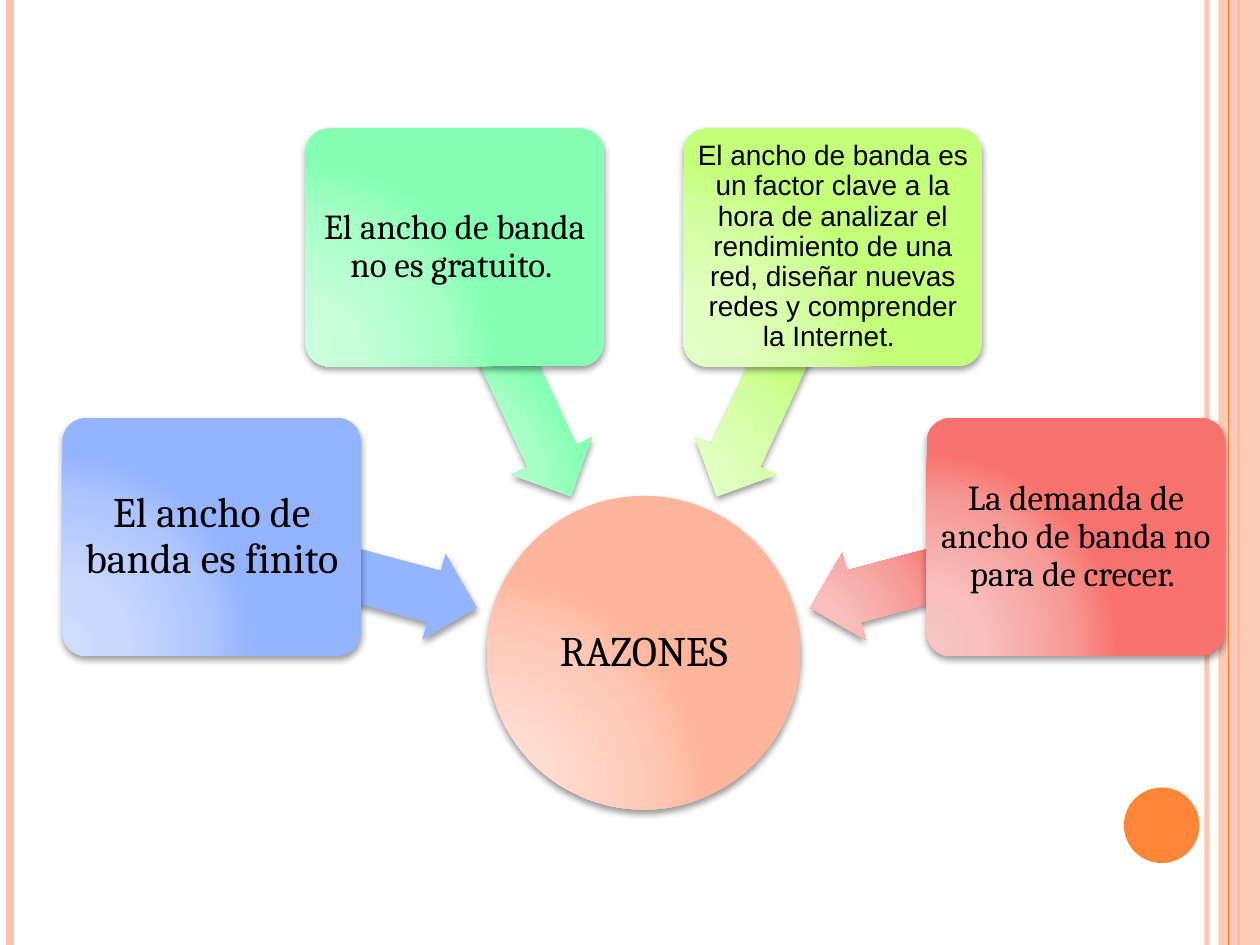
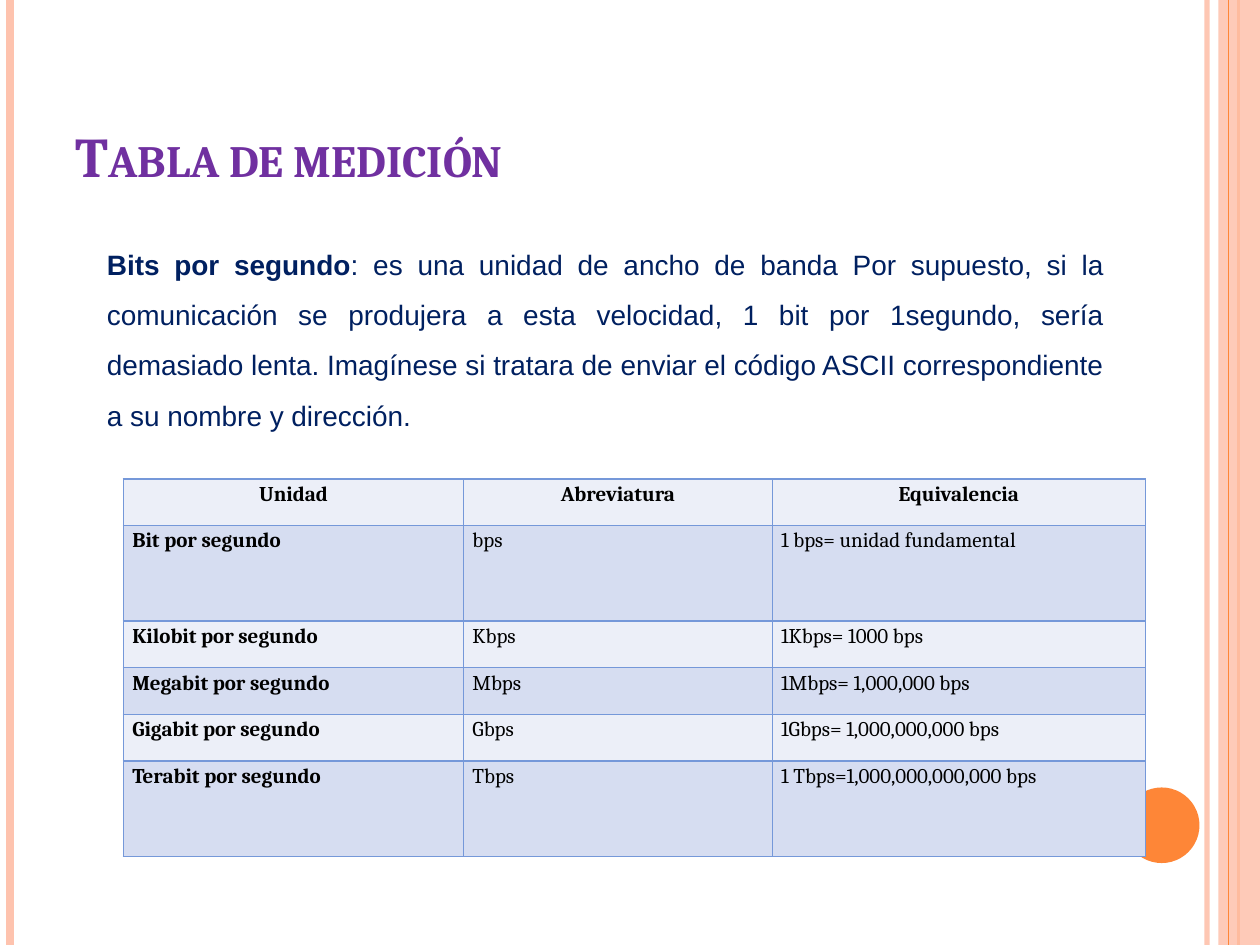
import math

import pptx
import pptx.dml.color
import pptx.enum.shapes
import pptx.enum.text
import pptx.oxml
import pptx.oxml.ns
import pptx.util

Inches = pptx.util.Inches
RGBColor = pptx.dml.color.RGBColor
Shapes = pptx.enum.shapes.MSO_SHAPE
Align = pptx.enum.text.PP_ALIGN
Anchor = pptx.enum.text.MSO_ANCHOR

BLACK = RGBColor(0x00, 0x00, 0x00)
PEACH = RGBColor(0xFE, 0xC3, 0xAE)
ORANGE = RGBColor(0xFE, 0x86, 0x37)
PURPLE = RGBColor(0x70, 0x30, 0xA0)
NAVY = RGBColor(0x00, 0x20, 0x60)
ROW_LIGHT = RGBColor(0xEC, 0xEF, 0xF8)
ROW_DARK = RGBColor(0xD6, 0xDD, 0xF1)
TABLE_BORDER = RGBColor(0x75, 0x98, 0xD9)


def gradient(*colours):
    return [RGBColor.from_string(colour) for colour in colours]


SALMON_GRADIENT = gradient("FFDED5", "FFDBD0", "FFC8B6", "FFB59B")
BLUE_GRADIENT = gradient("CFDCFF", "CBD9FF", "AFC6FF", "95B4FF")
GREEN_GRADIENT = gradient("C9FFDC", "C4FFD9", "A5FFC5", "85FFB3")
LIME_GRADIENT = gradient("E3FFC5", "E1FFC0", "D2FF9E", "C4FF7A")
RED_GRADIENT = gradient("F8C5C3", "F8BFBD", "F69B98", "F8736E")
GRADIENT_STOPS = (0, 30, 75, 100)

# Content
HUB_TEXT = "RAZONES"
REASONS = [  # text, size, font, gradient
    ("El ancho de banda es finito", 24, "Cambria", BLUE_GRADIENT),
    ("El ancho de banda no es gratuito. ", 20, "Cambria", GREEN_GRADIENT),
    ("El ancho de banda es un factor clave a la hora de analizar el rendimiento "
     "de una red, diseñar nuevas redes y comprender la Internet. ",
     16, "Arial", LIME_GRADIENT),
    ("La demanda de ancho de banda no para de crecer. ", 20, "Cambria", RED_GRADIENT),
]
TABLE_TITLE = "Tabla de medición"
DEFINITION_TERM = "Bits por segundo"
DEFINITION = (": es una unidad de ancho de banda Por supuesto, si la comunicación se "
              "produjera a esta velocidad, 1 bit por 1segundo, sería demasiado lenta. "
              "Imagínese si tratara de enviar el código ASCII correspondiente a "
              "su nombre y dirección.")
UNITS = [
    ("Unidad", "Abreviatura", "Equivalencia"),
    ("Bit por segundo", "bps", "1 bps= unidad fundamental"),
    ("Kilobit por segundo", "Kbps", "1Kbps= 1000 bps"),
    ("Megabit por segundo", "Mbps", "1Mbps= 1,000,000 bps"),
    ("Gigabit por segundo", "Gbps", "1Gbps= 1,000,000,000 bps"),
    ("Terabit por segundo", "Tbps", "1 Tbps=1,000,000,000,000 bps"),
]
COLUMN_WIDTHS = (2.7, 2.45, 2.96)
ROW_HEIGHTS = (0.37, 0.76, 0.37, 0.37, 0.37, 0.76)

# Layout of the reasons diagram, in inches and degrees
HUB_CENTRE = (5.11, 5.18)
HUB_SIZE = (2.49, 2.49)
BOX_SIZE = (2.37, 1.89)
ARROW_SIZE = (2.18, 0.71)
BOX_RADIUS, ARROW_RADIUS = 3.55, 2.46
FIRST_ANGLE, ANGLE_STEP = 195, 50

# Bands of the master: x, colour, width in points, opacity
STRIPES_BEHIND = [(9.58, PEACH, 3, 93), (0.08, PEACH, 4.5, 100), (9.83, ORANGE, 1.5, 100)]
STRIPES_FRONT = [(9.75, ORANGE, 0.75, 100)]


def drawing_xml(tag, content="", attributes=""):
    namespace = pptx.oxml.ns.nsdecls("a")
    return pptx.oxml.parse_xml(f"<a:{tag} {namespace} {attributes}>{content}</a:{tag}>")


def write_text(text_frame, text, lead="", size=12, font="Cambria", colour=BLACK,
               bold=False, align=Align.LEFT, line_spacing=None, space_after=None):
    """Write one paragraph, optionally opened by a bold lead."""
    paragraph = text_frame.paragraphs[0]
    paragraph.alignment = align
    paragraph.line_spacing = line_spacing
    paragraph.space_after = space_after
    for content, is_bold in ((lead, True), (text, bold)):
        if content:
            run = paragraph.add_run()
            run.text = content
            run.font.name = font
            run.font.size = pptx.util.Pt(size)
            run.font.color.rgb = colour
            run.font.bold = is_bold
    return paragraph


def set_opacity(shape, percent):
    for colour in shape.element.xpath(".//a:srgbClr"):
        colour.append(drawing_xml("alpha", attributes=f'val="{percent * 1000}"'))


def add_stripe(slide, x, colour, width, opacity):
    stripe = slide.shapes.add_connector(
        pptx.enum.shapes.MSO_CONNECTOR.STRAIGHT, Inches(x), 0, Inches(x), Inches(7.5))
    stripe.line.color.rgb = colour
    stripe.line.width = pptx.util.Pt(width)
    stripe.element.spPr.append(drawing_xml("effectLst"))
    if opacity < 100:
        set_opacity(stripe, opacity)
    return stripe


def add_plain_shape(slide, kind, left, top, width, height):
    shape = slide.shapes.add_shape(
        kind, Inches(left), Inches(top), Inches(width), Inches(height))
    shape.shadow.inherit = False
    shape.line.fill.background()
    return shape


def decorate_master(presentation, slide):
    """Draw the shared bands, then move them to the slide master."""
    parts = [add_stripe(slide, *stripe) for stripe in STRIPES_BEHIND]
    band = add_plain_shape(slide, Shapes.RECTANGLE, 9.67, 0, 0.33, 7.5)
    band.fill.solid()
    band.fill.fore_color.rgb = PEACH
    set_opacity(band, 87)
    parts.append(band)
    parts += [add_stripe(slide, *stripe) for stripe in STRIPES_FRONT]
    disc = add_plain_shape(slide, Shapes.OVAL, 8.92, 6.25, 0.6, 0.6)
    disc.fill.solid()
    disc.fill.fore_color.rgb = ORANGE
    parts.append(disc)
    master_tree = presentation.slide_master.shapes.element
    for number, part in enumerate(parts, start=100):
        part.element.xpath(".//p:cNvPr")[0].set("id", str(number))
        master_tree.append(part.element)


def add_glossy_shape(slide, kind, centre, size, colours, adjustments=()):
    """Add a shape around its centre with a radial gradient and a soft shadow."""
    (x, y), (width, height) = centre, size
    shape = add_plain_shape(slide, kind, x - width / 2, y - height / 2, width, height)
    for index, value in enumerate(adjustments):
        shape.adjustments[index] = value
    stops = "".join(f'<a:gs pos="{stop * 1000}"><a:srgbClr val="{colour}"/></a:gs>'
                    for stop, colour in zip(GRADIENT_STOPS, colours))
    fill = drawing_xml(
        "gradFill",
        f'<a:gsLst>{stops}</a:gsLst><a:path path="circle">'
        '<a:fillToRect l="5000" t="100000" r="120000" b="10000"/></a:path>',
        'rotWithShape="1"')
    properties = shape.element.spPr
    properties.xpath("a:prstGeom")[0].addnext(fill)
    properties.xpath("a:effectLst")[0].append(drawing_xml(
        "outerShdw", '<a:srgbClr val="000000"><a:alpha val="40000"/></a:srgbClr>',
        'blurRad="50800" dist="25400" dir="5400000" rotWithShape="0"'))
    return shape


def label_shape(shape, text, size, font):
    frame = shape.text_frame
    frame.word_wrap = True
    frame.vertical_anchor = Anchor.MIDDLE
    inset = Inches(size / 500)
    frame.margin_left = frame.margin_right = inset
    frame.margin_top = frame.margin_bottom = inset
    write_text(frame, text, size=size, font=font, align=Align.CENTER, line_spacing=0.9)


def around_hub(angle, radius):
    radians = math.radians(angle)
    return (HUB_CENTRE[0] + radius * math.cos(radians),
            HUB_CENTRE[1] + radius * math.sin(radians))


def build_reasons(slide):
    hub = add_glossy_shape(slide, Shapes.OVAL, HUB_CENTRE, HUB_SIZE, SALMON_GRADIENT)
    label_shape(hub, HUB_TEXT, 24, "Cambria")
    for index, (text, size, font, colours) in enumerate(REASONS):
        angle = FIRST_ANGLE + index * ANGLE_STEP
        arrow = add_glossy_shape(slide, Shapes.LEFT_ARROW, around_hub(angle, ARROW_RADIUS),
                                 ARROW_SIZE, colours, (0.6, 0.5))
        arrow.rotation = angle
        box = add_glossy_shape(slide, Shapes.ROUNDED_RECTANGLE,
                               around_hub(angle, BOX_RADIUS), BOX_SIZE, colours, (0.1,))
        label_shape(box, text, size, font)


def format_cell(cell, colour):
    cell.margin_left = cell.margin_right = Inches(0.07)
    cell.margin_top = cell.margin_bottom = 0
    cell.fill.solid()
    cell.fill.fore_color.rgb = colour
    line = f'<a:solidFill><a:srgbClr val="{TABLE_BORDER}"/></a:solidFill>'
    for position, side in enumerate(("lnL", "lnR", "lnT", "lnB")):
        cell._tc.get_or_add_tcPr().insert(position, drawing_xml(side, line, 'w="12700"'))


def build_measures(slide):
    # Title
    title = slide.shapes.title
    title.left, title.top = Inches(0.5), Inches(0.3)
    title.width, title.height = Inches(8.17), Inches(1.25)
    title.text_frame.vertical_anchor = Anchor.BOTTOM
    paragraph = write_text(title.text_frame, TABLE_TITLE, size=32, colour=PURPLE, bold=True)
    paragraph.runs[0].font._element.set("cap", "small")

    # Units table
    table = slide.shapes.add_table(
        len(UNITS), len(COLUMN_WIDTHS), Inches(0.98), Inches(3.8),
        Inches(sum(COLUMN_WIDTHS)), Inches(sum(ROW_HEIGHTS))).table
    for column, width in zip(table.columns, COLUMN_WIDTHS):
        column.width = Inches(width)
    for row_index, (values, height) in enumerate(zip(UNITS, ROW_HEIGHTS)):
        table.rows[row_index].height = Inches(height)
        is_header = row_index == 0
        for column_index, value in enumerate(values):
            cell = table.cell(row_index, column_index)
            format_cell(cell, ROW_DARK if row_index % 2 else ROW_LIGHT)
            write_text(cell.text_frame, value, bold=is_header or column_index == 0,
                       align=Align.CENTER if is_header else Align.LEFT,
                       line_spacing=1.15, space_after=pptx.util.Pt(10))

    # Definition
    definition = slide.shapes.add_textbox(
        Inches(0.75), Inches(1.78), Inches(8.11), Inches(2.02))
    definition.text_frame.word_wrap = True
    write_text(definition.text_frame, DEFINITION, lead=DEFINITION_TERM, size=16,
               font="Arial", colour=NAVY, align=Align.JUSTIFY, line_spacing=1.5)


def main():
    presentation = pptx.Presentation()
    presentation.slide_width, presentation.slide_height = Inches(10), Inches(7.5)
    title_only, blank = presentation.slide_layouts[5], presentation.slide_layouts[6]
    reasons_slide = presentation.slides.add_slide(blank)
    decorate_master(presentation, reasons_slide)
    build_reasons(reasons_slide)
    build_measures(presentation.slides.add_slide(title_only))
    presentation.save("out.pptx")


if __name__ == "__main__":
    main()
